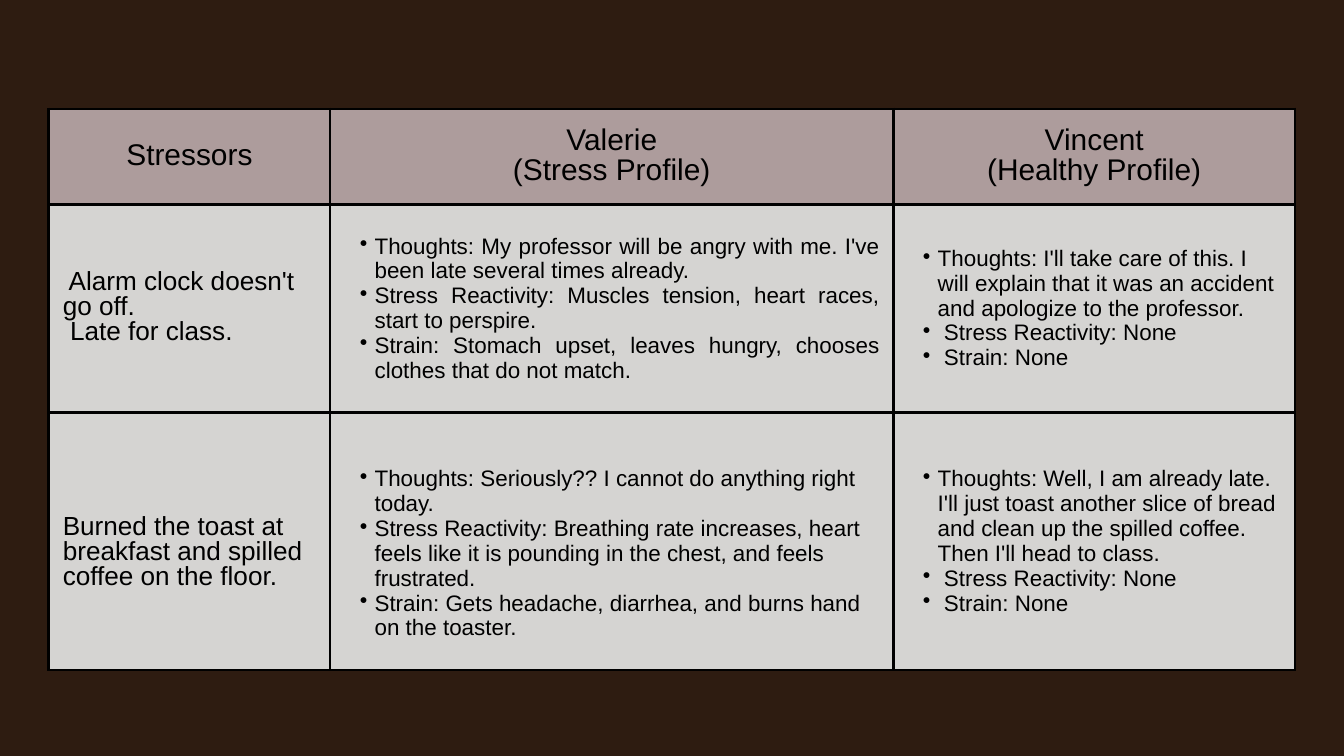
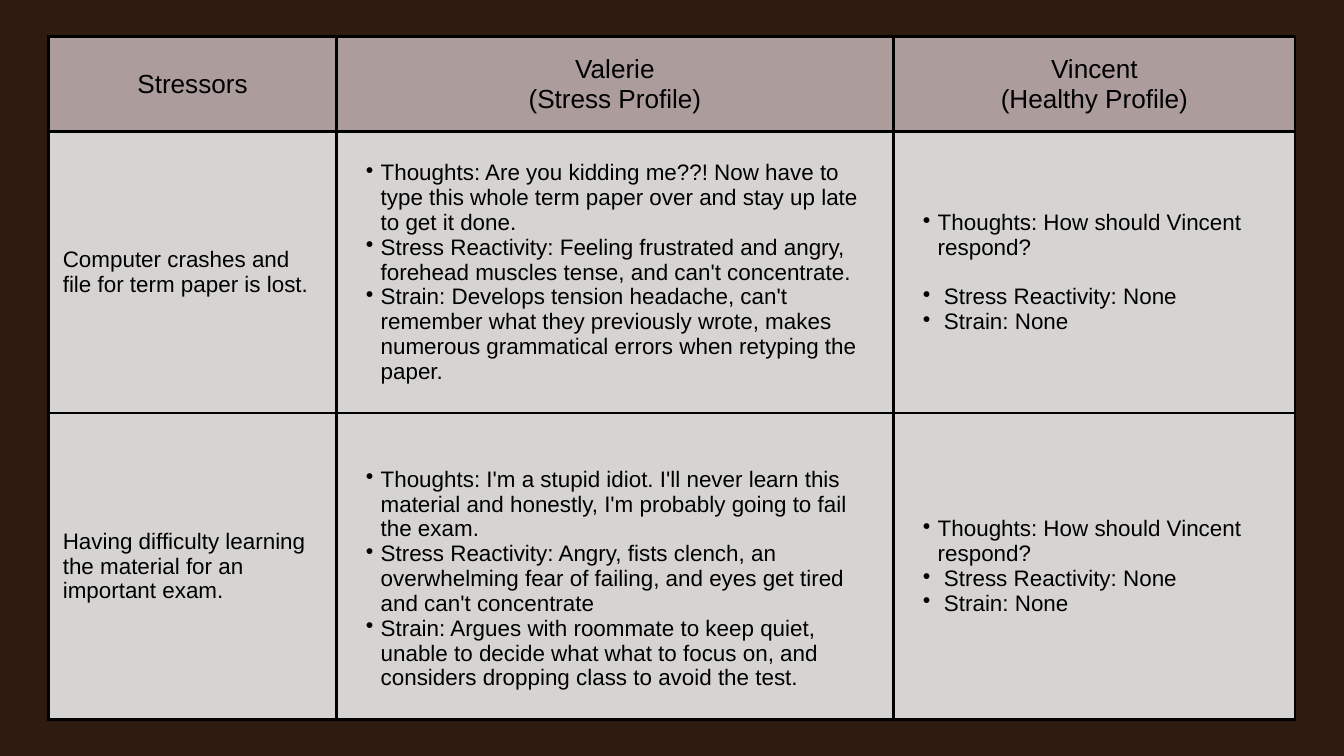
"""Build two slides comparing how two profiles respond to everyday stressors."""
from dataclasses import dataclass

from lxml import etree
from pptx import Presentation
from pptx.dml.color import RGBColor
from pptx.enum.text import MSO_ANCHOR, PP_ALIGN
from pptx.oxml.ns import qn
from pptx.util import Inches, Pt

LEFT, CENTER, JUSTIFY = PP_ALIGN.LEFT, PP_ALIGN.CENTER, PP_ALIGN.JUSTIFY
MIDDLE = MSO_ANCHOR.MIDDLE
BLANK_LAYOUT = 6
GRID_COLS, GRID_ROWS = 20, 11.25


@dataclass(frozen=True)
class Theme:
    """Colours, type sizes and spacing shared by the slides."""
    font: str = "Arial"
    background: str = "2E1C11"
    header: str = "AD9C9C"
    body: str = "D5D4D2"
    ink: str = "000000"
    border: float = 3
    large: float = 32
    medium: float = 28
    small: float = 24
    header_leading: float = 32.2
    body_leading: float = 26.6
    inset: float = 0.21
    indent: float = 0.45
    hanging: float = 0.22


@dataclass(frozen=True)
class Entry:
    """Paragraphs of one cell, with optional gaps counted in lines."""
    lines: tuple[str, ...]
    align: PP_ALIGN = LEFT
    lead: int = 0
    gap_before: int | None = None


@dataclass(frozen=True)
class Scenario:
    """One stressor and the two responses to it."""
    stressor: Entry
    valerie: Entry
    vincent: Entry


@dataclass(frozen=True)
class Board:
    """One slide's table, measured in grid columns and rows."""
    top: float
    first_col: float
    heights: tuple[float, ...]
    header_size: float
    stressor_size: float
    scenarios: tuple[Scenario, ...]


THEME = Theme()
TABLE_WIDTH, VINCENT_COL = 18.55, 5.98
HEADERS = (
    Entry(("Stressors",), CENTER),
    Entry(("Valerie", "(Stress Profile)"), CENTER),
    Entry(("Vincent", "(Healthy Profile)"), CENTER),
)


def calm(thought: str, gap_before: int | None = None) -> Entry:
    """Return Vincent's response, which never includes reactivity or strain."""
    lines = (f"Thoughts: {thought}", " Stress Reactivity: None", " Strain: None")
    return Entry(lines, gap_before=gap_before)


def stressed(thought: str, reactivity: str, strain: str, align: PP_ALIGN = LEFT,
             lead: int = 0) -> Entry:
    """Return Valerie's labelled response."""
    lines = (f"Thoughts: {thought}", f"Stress Reactivity: {reactivity}",
             f"Strain: {strain}")
    return Entry(lines, align, lead)


BOARDS = (
    Board(1.62, 4.19, (1.42, 3.1, 3.83), THEME.large, THEME.medium, (
        Scenario(
            Entry((" Alarm clock doesn't go off.", " Late for class.")),
            stressed("My professor will be angry with me. I've been late several "
                     "times already.",
                     "Muscles tension, heart races, start to perspire.",
                     "Stomach upset, leaves hungry, chooses clothes that do not "
                     "match.", align=JUSTIFY),
            calm("I'll take care of this. I will explain that it was an accident "
                 "and apologize to the professor."),
        ),
        Scenario(
            Entry(("Burned the toast at breakfast and spilled coffee on the "
                   "floor.",), lead=1),
            stressed("Seriously?? I cannot do anything right today.",
                     "Breathing rate increases, heart feels like it is pounding "
                     "in the chest, and feels frustrated.",
                     "Gets headache, diarrhea, and burns hand on the toaster.",
                     lead=1),
            calm("Well, I am already late. I'll just toast another slice of bread "
                 "and clean up the spilled coffee. Then I'll head to class."),
        ),
    )),
    Board(0.54, 4.28, (1.42, 4.19, 4.56), THEME.medium, THEME.small, (
        Scenario(
            Entry(("Computer crashes and file for term paper is lost.",)),
            stressed("Are you kidding me??! Now have to type this whole term paper "
                     "over and stay up late to get it done.",
                     "Feeling frustrated and angry, forehead muscles tense, and "
                     "can't concentrate.",
                     "Develops tension headache, can't remember what they "
                     "previously wrote, makes numerous grammatical errors when "
                     "retyping the paper."),
            calm("How should Vincent respond?", gap_before=1),
        ),
        Scenario(
            Entry(("Having difficulty learning the material for an important "
                   "exam.",)),
            stressed("I'm a stupid idiot. I'll never learn this material and "
                     "honestly, I'm probably going to fail the exam.",
                     "Angry, fists clench, an overwhelming fear of failing, and "
                     "eyes get tired and can't concentrate",
                     "Argues with roommate to keep quiet, unable to decide what "
                     "what to focus on, and considers dropping class to avoid the "
                     "test.", lead=1),
            calm("How should Vincent respond?"),
        ),
    )),
)


def add_bullet(p) -> None:
    """Give a paragraph a hanging bullet."""
    p.level = 1
    pPr = p._p.get_or_add_pPr()
    pPr.set("marL", str(Inches(THEME.indent)))
    pPr.set("indent", str(-Inches(THEME.hanging)))
    etree.SubElement(pPr, qn("a:buChar")).set("char", "•")


def write(p, text: str, *, size: float, leading: float, align: PP_ALIGN = LEFT,
          bullet: bool = False, before: float = 0) -> None:
    """Write formatted text into a paragraph."""
    if bullet:
        add_bullet(p)
    p.alignment = align
    p.line_spacing = Pt(leading)
    p.space_before = Pt(before)
    r = p.add_run()
    r.text = text
    r.font.name = THEME.font
    r.font.size = Pt(size)
    r.font.color.rgb = RGBColor.from_string(THEME.ink)


def add_borders(cell) -> None:
    """Draw the same solid line on all four sides of a cell."""
    tcPr = cell._tc.get_or_add_tcPr()
    for side in ("lnL", "lnR", "lnT", "lnB"):
        ln = etree.SubElement(tcPr, qn(f"a:{side}"))
        ln.set("w", str(Pt(THEME.border)))
        fill = etree.SubElement(ln, qn("a:solidFill"))
        etree.SubElement(fill, qn("a:srgbClr")).set("val", THEME.ink)


def fill_cell(cell, entry: Entry, *, color: str, size: float, leading: float,
              bullet: bool = False) -> None:
    """Format one cell and write its entry."""
    add_borders(cell)
    cell.fill.solid()
    cell.fill.fore_color.rgb = RGBColor.from_string(color)
    cell.vertical_anchor = MIDDLE
    cell.margin_left = cell.margin_right = cell.margin_bottom = Inches(THEME.inset)
    cell.margin_top = Inches(THEME.inset) + Pt(entry.lead * leading)
    tf = cell.text_frame
    for i, text in enumerate(entry.lines):
        p = tf.add_paragraph() if i else tf.paragraphs[0]
        write(p, text, size=size, leading=leading, align=entry.align, bullet=bullet,
              before=leading if i == entry.gap_before else 0)


def add_board(prs, board: Board) -> None:
    """Add a slide with one stressor table."""
    s = prs.slides.add_slide(prs.slide_layouts[BLANK_LAYOUT])
    s.background.fill.solid()
    s.background.fill.fore_color.rgb = RGBColor.from_string(THEME.background)
    col, row = prs.slide_width / GRID_COLS, prs.slide_height / GRID_ROWS
    widths = (board.first_col, TABLE_WIDTH - board.first_col - VINCENT_COL, VINCENT_COL)
    left = (GRID_COLS - TABLE_WIDTH) / 2
    table = s.shapes.add_table(
        len(board.heights), len(widths), int(left * col), int(board.top * row),
        int(TABLE_WIDTH * col), int(sum(board.heights) * row)).table
    table.first_row = table.horz_banding = False
    for column, width in zip(table.columns, widths):
        column.width = int(width * col)
    for line, height in zip(table.rows, board.heights):
        line.height = int(height * row)
    for c, entry in enumerate(HEADERS):
        fill_cell(table.cell(0, c), entry, color=THEME.header,
                  size=board.header_size, leading=THEME.header_leading)
    for i, scenario in enumerate(board.scenarios, 1):
        entries = (scenario.stressor, scenario.valerie, scenario.vincent)
        for c, entry in enumerate(entries):
            fill_cell(table.cell(i, c), entry, color=THEME.body,
                      size=THEME.small if c else board.stressor_size,
                      leading=THEME.body_leading, bullet=c > 0)


def main() -> None:
    """Build and save the presentation."""
    prs = Presentation()
    prs.slide_width, prs.slide_height = Inches(GRID_COLS), Inches(GRID_ROWS)
    for board in BOARDS:
        add_board(prs, board)
    prs.save("out.pptx")


if __name__ == "__main__":
    main()
